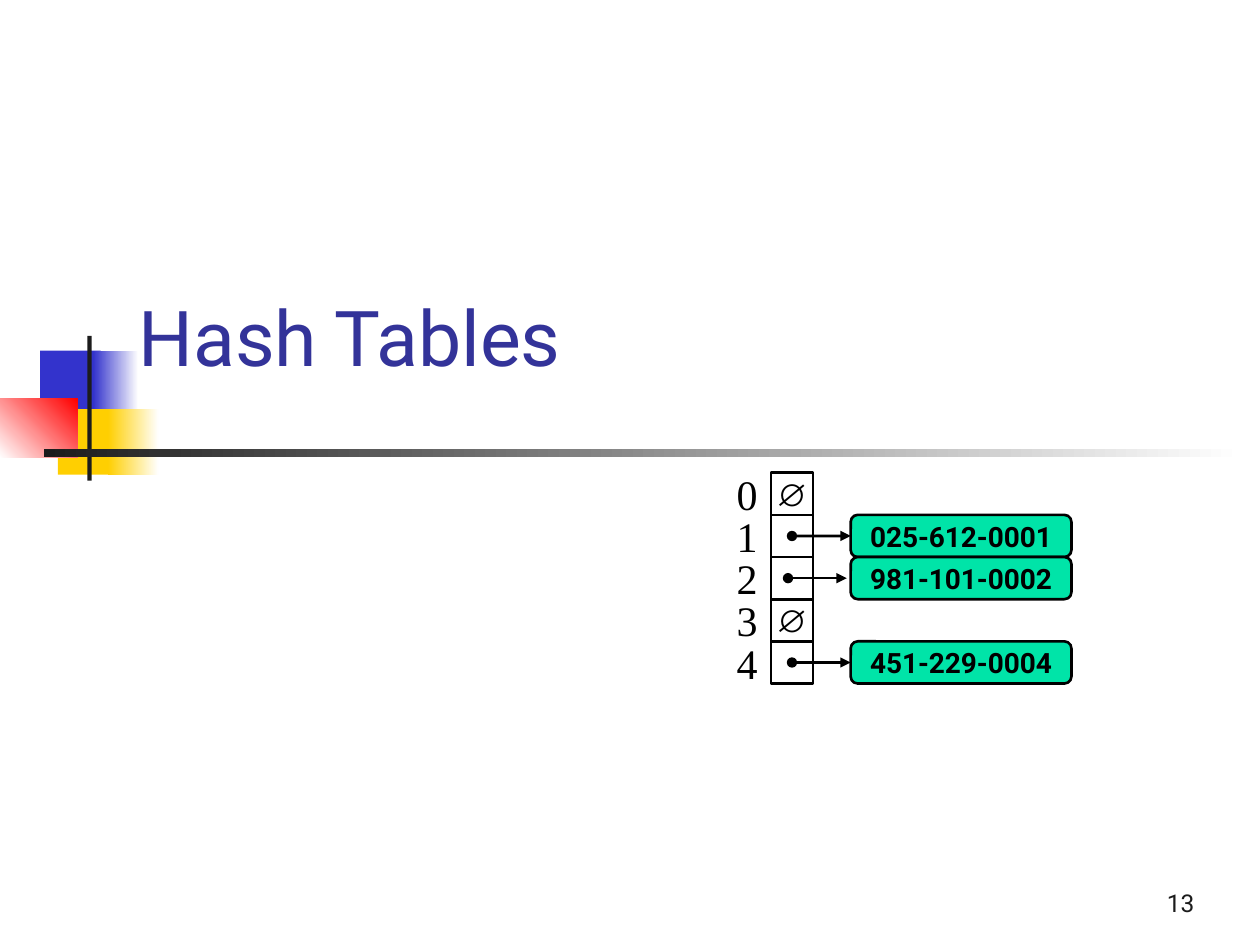
from lxml.etree import SubElement as Sub
from pptx import Presentation
from pptx.dml.color import RGBColor as Rgb
from pptx.enum.shapes import MSO_CONNECTOR as Conn, MSO_SHAPE as Kind
from pptx.enum.text import MSO_ANCHOR as Anchor, PP_ALIGN as Align
from pptx.oxml.ns import qn
from pptx.util import Cm, Pt

HUES = {
    "blue": "3333CC", "gold": "FFCF01", "red": "FF0000", "dark": "1C1C1C",
    "white": "FFFFFF", "title": "333399", "black": "000000", "mint": "00E4A8",
}
DECOR = [
    ((0.81, 7.07, 1.22, 1.32), ["blue"], 0),
    ((1.88, 7.07, 0.91, 1.32), ["blue", "white"], 0),
    ((1.17, 8.25, 1.17, 1.32), ["gold"], 0),
    ((2.18, 8.25, 1.02, 1.32), ["gold", "white"], 0),
    ((0, 8.04, 1.56, 1.18), ["white", "red"], 45),
    ((1.76, 6.77, 0.09, 2.92), ["dark"], 0),
    ((0.89, 9.06, 24.15, 0.16), ["dark", "white"], 0),
]
TITLE, PAGE = "Hash Tables", "13"
SLOTS = [None, "025-612-0001", "981-101-0002", None, "451-229-0004"]
NUDGE = {2: 0.08}
CELL, LEFT, TOP = 0.85, 15.54, 9.53
BOX_X, BOX_W = 17.15, 4.45

deck = Presentation()
deck.slide_width, deck.slide_height = Cm(25.4), Cm(19.05)
slide = deck.slides.add_slide(deck.slide_layouts[6])
shapes = slide.shapes


def hue(name):
    return Rgb.from_string(HUES[name])


def put(shape, text, size, font, color="black", bold=False,
        align=Align.CENTER, anchor=Anchor.MIDDLE, wrap=False):
    frame = shape.text_frame
    frame.word_wrap = wrap
    frame.vertical_anchor = anchor
    para = frame.paragraphs[0]
    para.alignment = align
    run = para.add_run()
    run.text = text
    run.font.size, run.font.name, run.font.bold = Pt(size), font, bold
    run.font.color.rgb = hue(color)


def label(area, *args, **opts):
    put(shapes.add_textbox(*map(Cm, area)), *args, **opts)


def block(area, fills=(), angle=0, line=None, kind=Kind.RECTANGLE):
    shape = shapes.add_shape(kind, *map(Cm, area))
    shape.shadow.inherit = False
    if len(fills) == 2:
        shape.fill.gradient()
        shape.fill.gradient_angle = angle
        for stop, name in zip(shape.fill.gradient_stops, fills):
            stop.color.rgb = hue(name)
    elif fills:
        shape.fill.solid()
        shape.fill.fore_color.rgb = hue(fills[0])
    else:
        shape.fill.background()
    if line:
        shape.line.color.rgb = hue(line)
        shape.line.width = Pt(1.5)
    else:
        shape.line.fill.background()
    return shape


def arrow(x1, x2, y):
    link = shapes.add_connector(Conn.STRAIGHT, Cm(x1), Cm(y), Cm(x2), Cm(y))
    link.line.color.rgb = hue("black")
    link.line.width = Pt(1.5)
    props = link.line._get_or_add_ln()
    Sub(props, qn("a:headEnd"), type="oval")
    Sub(props, qn("a:tailEnd"), type="triangle")
    Sub(link._element.spPr, qn("a:effectLst"))
    return link


for area, fills, angle in DECOR:
    block(area, fills, angle)

label((19.05, 17.35, 5.28, 1.27), PAGE, 14, "Roboto", "dark",
      align=Align.RIGHT, anchor=Anchor.BOTTOM, wrap=True)
label((2.54, 4.65, 21.59, 3.18), TITLE, 44, "Roboto", "title",
      align=Align.LEFT, anchor=Anchor.BOTTOM, wrap=True)

for i, key in enumerate(SLOTS):
    y = TOP + i * CELL
    cell = block((LEFT, y, CELL, CELL), line="black")
    label((14.6, y - 0.21, 0.92, 1.27), str(i), 24, "Times New Roman",
          anchor=Anchor.TOP)
    if key is None:
        put(cell, "∅", 18, "Arial")
        continue
    box = block((BOX_X, y, BOX_W, CELL), ["mint"], line="black",
                kind=Kind.ROUNDED_RECTANGLE)
    put(box, key, 16, "Roboto", bold=True)
    back = NUDGE.get(i, 0)
    link = arrow(LEFT + CELL / 2 - back, BOX_X - back, y + CELL / 2)
    if not back:
        link.end_connect(box, 1)

deck.save("out.pptx")
